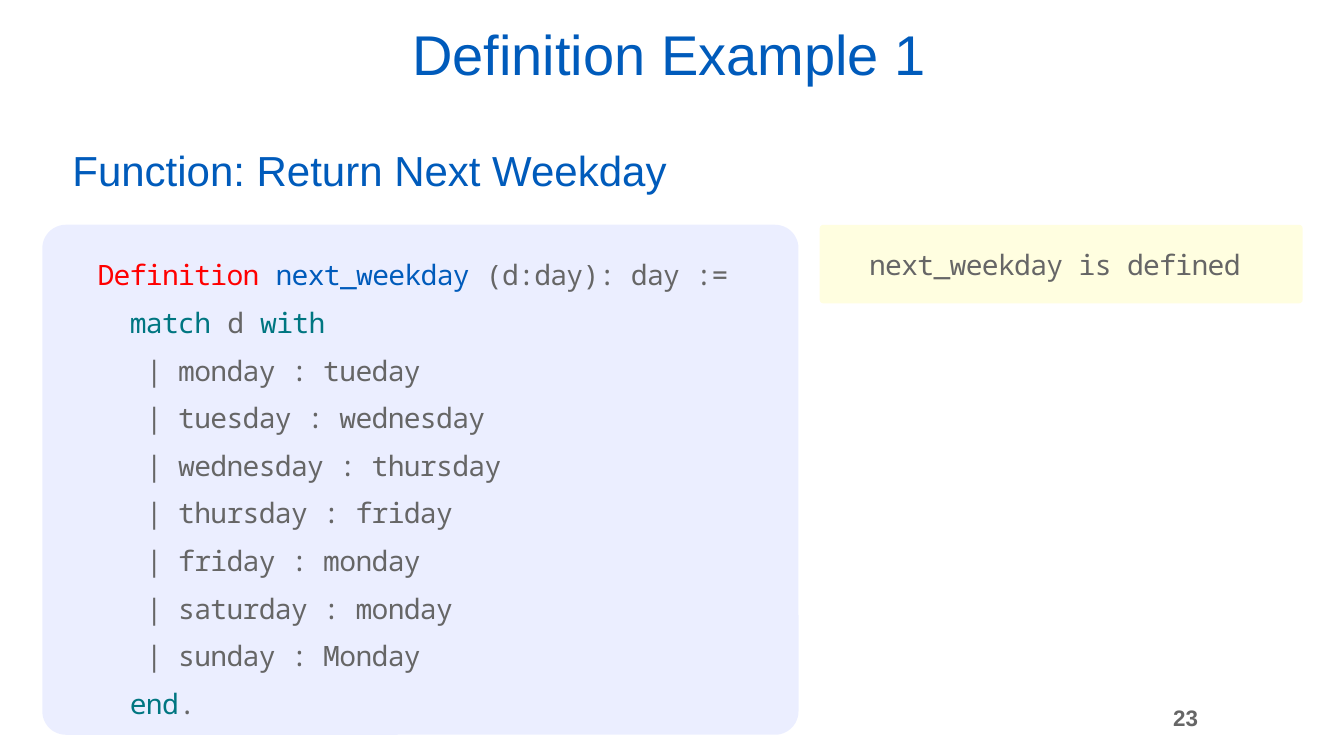
"""Build the slide that shows a next_weekday definition beside its output."""
from dataclasses import dataclass

from lxml import etree
from pptx import Presentation
from pptx import util as u
from pptx.dml.color import RGBColor
from pptx.enum import shapes, text
from pptx.oxml import ns

BLUE, TEAL, RED, GREY = "005BBB", "007681", "FF0000", "666666"
Box = tuple[float, float, float, float]
Line = list[tuple[str, str]]


@dataclass
class Label:
    words: str
    box: Box
    size: int
    color: str
    bold: bool = False
    align: text.PP_ALIGN = text.PP_ALIGN.LEFT
    anchor: text.MSO_ANCHOR = text.MSO_ANCHOR.TOP
    spacing: float = 0.9


@dataclass
class CodePanel:
    lines: list[Line]
    box: Box
    fill: str
    opacity: int
    left: float
    top: float
    anchor: text.MSO_ANCHOR


def rgb(color: str) -> RGBColor:
    return RGBColor.from_string(color)


def add_run(paragraph, words: str, font: str, size: int, color: str, bold: bool = False):
    run = paragraph.add_run()
    run.text = words
    run.font.name, run.font.size, run.font.bold = font, u.Pt(size), bold
    run.font.color.rgb = rgb(color)
    return run


def draw_label(slide, label: Label) -> None:
    frame = slide.shapes.add_textbox(*map(u.Inches, label.box)).text_frame
    frame.word_wrap = True
    frame.vertical_anchor = label.anchor
    paragraph = frame.paragraphs[0]
    paragraph.alignment = label.align
    paragraph.line_spacing = label.spacing
    add_run(paragraph, label.words, "Arial", label.size, label.color, label.bold)


def draw_panel(slide, panel: CodePanel) -> None:
    card = slide.shapes.add_shape(
        shapes.MSO_SHAPE.ROUNDED_RECTANGLE, *map(u.Inches, panel.box))
    card.adjustments[0] = 0.046
    card.shadow.inherit = False
    card.line.fill.background()
    card.fill.solid()
    card.fill.fore_color.rgb = rgb(panel.fill)
    tint = card.fill._xPr.find(".//" + ns.qn("a:srgbClr"))
    etree.SubElement(tint, ns.qn("a:alpha"), val=str(panel.opacity * 1000))
    frame = card.text_frame
    frame.word_wrap = True
    frame.vertical_anchor = panel.anchor
    frame.margin_left, frame.margin_top = u.Inches(panel.left), u.Inches(panel.top)
    for index, line in enumerate(panel.lines):
        paragraph = frame.add_paragraph() if index else frame.paragraphs[0]
        paragraph.alignment = text.PP_ALIGN.LEFT
        paragraph.line_spacing = u.Pt(24)
        paragraph.space_before = u.Pt(10 if index else 0)
        for words, color in line:
            run = add_run(paragraph, words, "Noto Sans Mono", 20, color)
            run._r.get_or_add_rPr().set("spc", "-50")


NEXT_DAYS = [
    ("monday", "tueday"), ("tuesday", "wednesday"), ("wednesday", "thursday"),
    ("thursday", "friday"), ("friday", "monday"), ("saturday", "monday"),
    ("sunday", "Monday"),
]
DEFINITION: list[Line] = [
    [("  Definition ", RED), ("next_weekday ", BLUE), ("(d:day): day :=", GREY)],
    [("    match ", TEAL), ("d ", GREY), ("with", TEAL)],
    *[[(f"     | {day} : {following}", GREY)] for day, following in NEXT_DAYS],
    [("    end", TEAL), (".", GREY)],
]
LABELS = [
    Label("Definition Example 1", (3.99, 0.22, 9.12, 0.82), 40, BLUE),
    Label("Function: Return Next Weekday", (0.62, 1.44, 11.5, 0.78), 30, BLUE),
    Label("23", (11.22, 6.83, 0.76, 0.58), 16, GREY, True,
          text.PP_ALIGN.RIGHT, text.MSO_ANCHOR.MIDDLE, 1.0),
]
PANELS = [
    CodePanel(DEFINITION, (0.42, 2.23, 7.5, 5.06), "0432FF", 8,
              0.16, 0.26, text.MSO_ANCHOR.TOP),
    CodePanel([[("next_weekday is defined", GREY)]], (8.13, 2.23, 4.79, 0.78),
              "FFFC00", 12, 0.48, 0.05, text.MSO_ANCHOR.MIDDLE),
]


def main() -> None:
    deck = Presentation()
    deck.slide_width, deck.slide_height = u.Inches(13.33), u.Inches(7.5)
    slide = deck.slides.add_slide(deck.slide_layouts[6])
    for panel in PANELS:
        draw_panel(slide, panel)
    for label in LABELS:
        draw_label(slide, label)
    deck.save("out.pptx")


if __name__ == "__main__":
    main()
